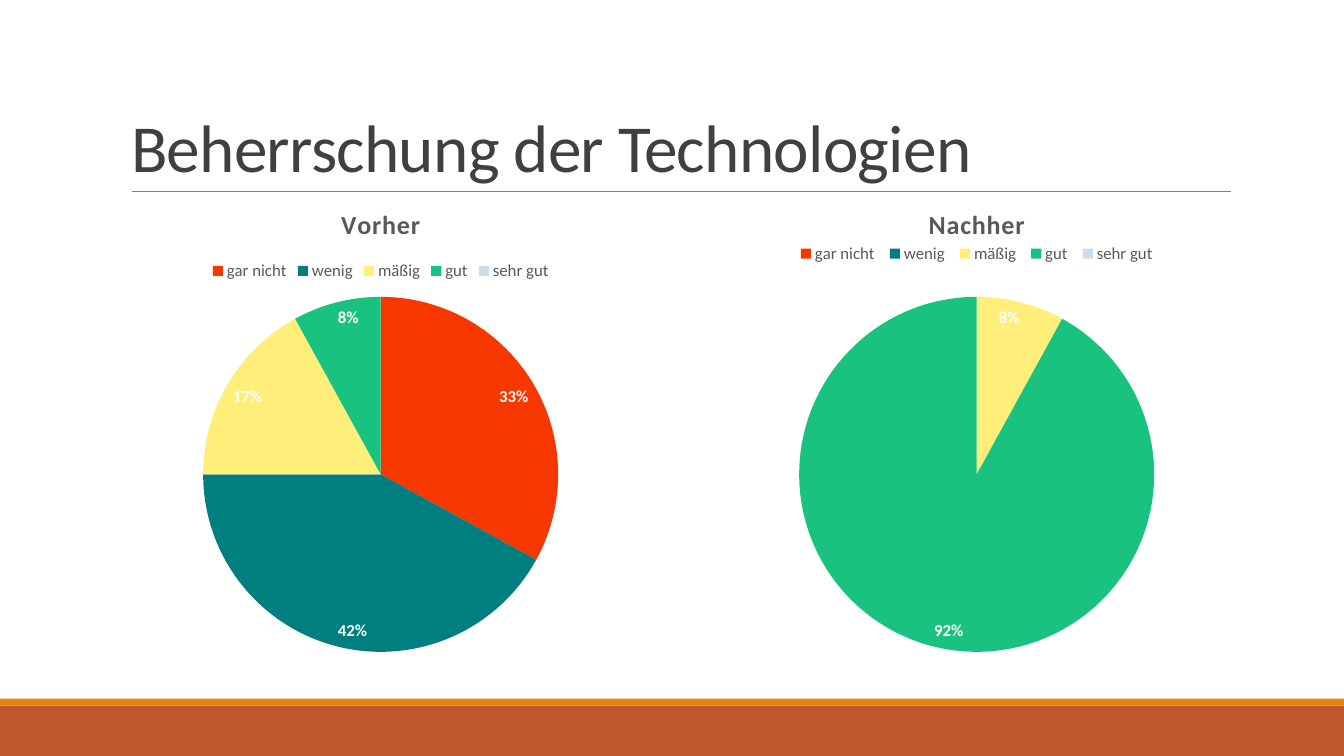
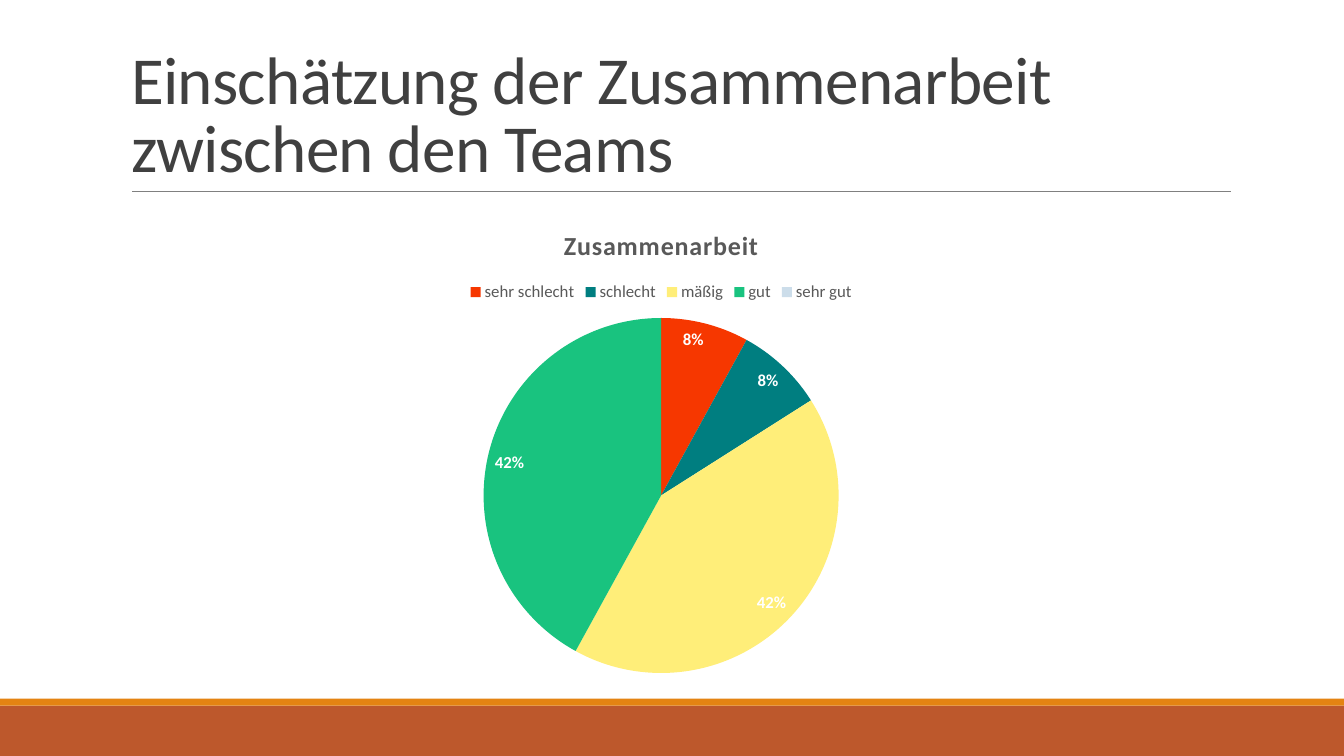
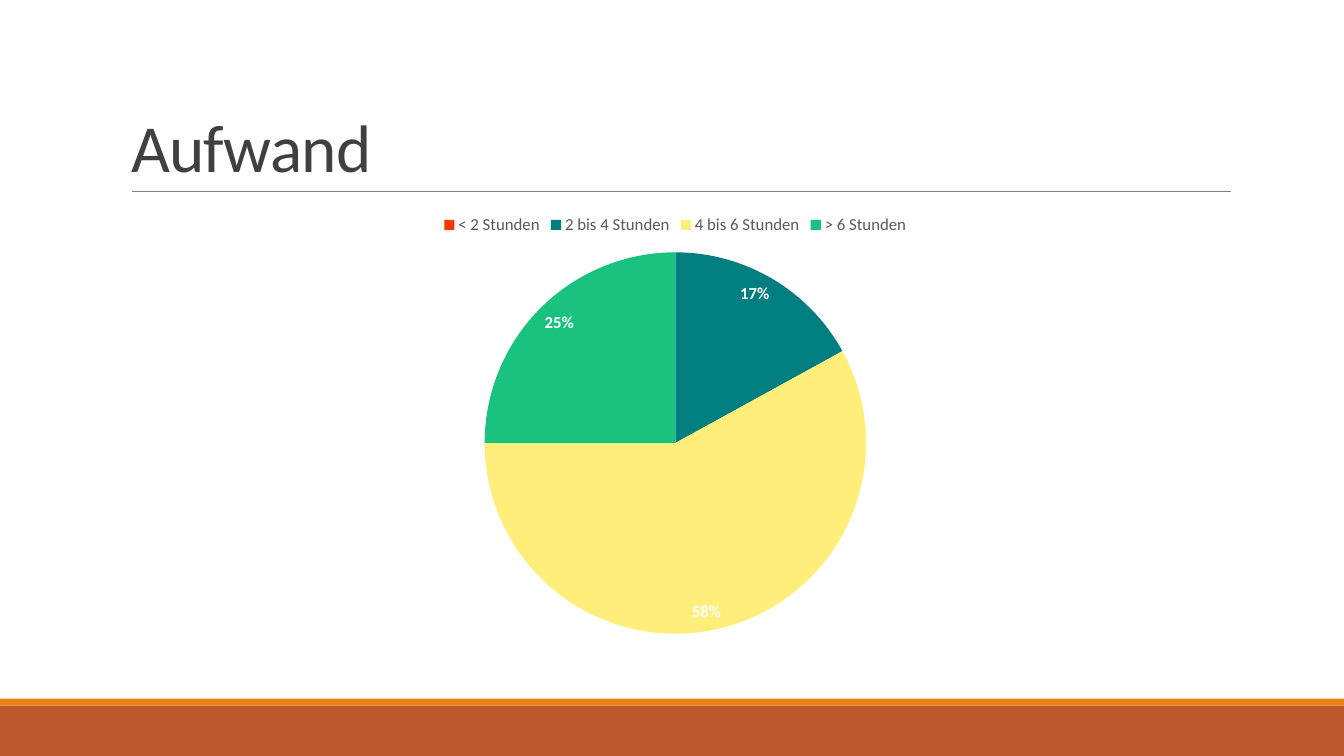
from pptx import Presentation, util as u
from pptx.chart.data import CategoryChartData
from pptx.dml.color import RGBColor
from pptx.enum import chart as ch, shapes, text
from pptx.oxml import parse_xml
from pptx.oxml.ns import nsdecls, qn

WIDTH, HEIGHT = u.Inches(13.333), u.Inches(7.5)
FONT = "Calibri"
WHITE = RGBColor(0xFF, 0xFF, 0xFF)
TITLE_GREY = RGBColor(0x40, 0x40, 0x40)
CHART_GREY = RGBColor(0x59, 0x59, 0x59)
RULE_GREY = RGBColor(0x80, 0x80, 0x80)
RUST = RGBColor(0xBD, 0x58, 0x2C)
ORANGE = RGBColor(0xE4, 0x83, 0x12)
RED = RGBColor(0xF6, 0x37, 0x00)
TEAL = RGBColor(0x00, 0x7E, 0x80)
YELLOW = RGBColor(0xFF, 0xEE, 0x79)
GREEN = RGBColor(0x19, 0xC3, 0x7F)
PALE_BLUE = RGBColor(0xCC, 0xDD, 0xEA)
RATING_COLORS = [RED, TEAL, YELLOW, GREEN, PALE_BLUE]

MASTERY = ["gar nicht", "wenig", "mäßig", "gut", "sehr gut"]
TEAMWORK = ["sehr schlecht", "schlecht", "mäßig", "gut", "sehr gut"]
HOURS = ["< 2 Stunden", "2 bis 4 Stunden", "4 bis 6 Stunden", "> 6 Stunden"]
RATING_SIZE = (86.25, 63.47)
HOURS_SIZE = (82.5, 58.67)


def across(percent):
    return round(WIDTH * percent / 100)


def down(percent):
    return round(HEIGHT * percent / 100)


def area(left, top, width, height):
    return across(left), down(top), across(width), down(height)


def style_font(font, size, color, bold=False):
    font.name = FONT
    font.size = u.Pt(size)
    font.bold = bold
    font.color.rgb = color


def style_title(master):
    title = next(p for p in master.placeholders
                 if p.placeholder_format.type == shapes.PP_PLACEHOLDER.TITLE)
    title.left, title.top, title.width, title.height = area(9, 4.13, 82.5, 21.2)
    title.text_frame.vertical_anchor = text.MSO_ANCHOR.BOTTOM
    title.text_frame.auto_size = text.MSO_AUTO_SIZE.NONE
    style = master.element.find(".//" + qn("p:titleStyle"))
    style.replace(style.find(qn("a:lvl1pPr")), parse_xml(
        f'<a:lvl1pPr {nsdecls("a")} algn="l"><a:lnSpc><a:spcPct val="85000"/></a:lnSpc>'
        f'<a:spcBef><a:spcPct val="0"/></a:spcBef><a:buNone/>'
        f'<a:defRPr sz="4800" spc="-50"><a:solidFill><a:srgbClr val="{TITLE_GREY}"/></a:solidFill>'
        f'<a:latin typeface="{FONT}"/></a:defRPr></a:lvl1pPr>'))


def add_band(slide, top, height, color):
    band = slide.shapes.add_shape(shapes.MSO_SHAPE.RECTANGLE, *area(0, top, 100, height))
    band.shadow.inherit = False
    band.fill.solid()
    band.fill.fore_color.rgb = color
    band.line.fill.background()
    return band


def add_rule(slide, left, right, top):
    rule = slide.shapes.add_connector(shapes.MSO_CONNECTOR.STRAIGHT, across(left), down(top),
                                      across(right), down(top))
    rule.line.color.rgb = RULE_GREY
    rule.line.width = u.Pt(0.5)
    rule.element.spPr.append(parse_xml(f'<a:effectLst {nsdecls("a")}/>'))
    return rule


def decorate_master(master, slide):
    decorations = [add_band(slide, 93.33, 6.67, RUST),
                   add_band(slide, 92.4, 0.93, ORANGE),
                   add_rule(slide, 9.83, 91.58, 25.33)]
    for decoration in decorations:
        master.shapes.element.append(decoration.element)


def add_titled_slide(prs, heading):
    slide = prs.slides.add_slide(prs.slide_layouts[5])
    slide.shapes.title.text_frame.paragraphs[0].add_run().text = heading
    return slide


def place(element, index, x, y, w, h, target=""):
    for automatic in element.findall(qn("c:layout")):
        element.remove(automatic)
    element.insert(index, parse_xml(
        f'<c:layout {nsdecls("c")}><c:manualLayout>{target}'
        f'<c:xMode val="edge"/><c:yMode val="edge"/><c:x val="{x}"/><c:y val="{y}"/>'
        f'<c:w val="{w}"/><c:h val="{h}"/></c:manualLayout></c:layout>'))


def add_caption(chart, caption):
    run = chart.chart_title.text_frame.paragraphs[0].add_run()
    run.text = caption
    style_font(run.font, 18.6, CHART_GREY, bold=True)
    run.font._element.set("spc", "50")
    chart.chart_title.include_in_layout = False


def add_pie(slide, center, top, size, categories, values, pie_top, diameter,
            caption=None, legend_area=None):
    width, height = size
    answers = CategoryChartData()
    answers.categories = categories
    answers.add_series("Series 1", values)
    chart = slide.shapes.add_chart(ch.XL_CHART_TYPE.PIE,
                                   *area(center - width / 2, top, width, height), answers).chart
    style_font(chart.font, 10, RGBColor(0, 0, 0))
    chart.has_title = caption is not None
    if caption:
        add_caption(chart, caption)

    chart.has_legend = True
    chart.legend.position = ch.XL_LEGEND_POSITION.TOP
    chart.legend.include_in_layout = False
    style_font(chart.legend.font, 12, CHART_GREY)
    if legend_area:
        place(chart.legend._element, 1, *legend_area)

    plot = chart.plots[0]
    plot.vary_by_categories = True
    for index, color in enumerate(RATING_COLORS[:len(categories)]):
        fill = plot.series[0].points[index].format.fill
        fill.solid()
        fill.fore_color.rgb = color

    share_labels = plot.series[0].data_labels
    share_labels.show_percentage = True
    share_labels.show_value = False
    share_labels.number_format = "0%"
    share_labels.number_format_is_linked = False
    share_labels.position = ch.XL_LABEL_POSITION.INSIDE_END
    style_font(share_labels.font, 12, WHITE, bold=True)
    hide_empty_labels(share_labels, values)

    pie_width = diameter * down(height) / across(width)
    place(chart._chartSpace.find(".//" + qn("c:plotArea")), 0,
          round((1 - pie_width) / 2, 4), pie_top, round(pie_width, 4), diameter,
          '<c:layoutTarget val="inner"/>')


def hide_empty_labels(share_labels, values):
    empty = [index for index, value in enumerate(values) if value == 0]
    for position, index in enumerate(empty):
        share_labels._element.insert(position, parse_xml(
            f'<c:dLbl {nsdecls("c")}><c:idx val="{index}"/><c:delete val="1"/></c:dLbl>'))


def main():
    prs = Presentation()
    prs.slide_width, prs.slide_height = WIDTH, HEIGHT
    style_title(prs.slide_master)

    mastery = add_titled_slide(prs, "Beherrschung der Technologien")
    decorate_master(prs.slide_master, mastery)
    add_pie(mastery, 28.33, 24.67, RATING_SIZE, MASTERY, [33, 42, 17, 8, 0],
            0.23, 0.74, "Vorher")
    add_pie(mastery, 72.68, 24.67, RATING_SIZE, MASTERY, [0, 0, 8, 92, 0],
            0.23, 0.74, "Nachher", (0.34, 0.11, 0.32, 0.06))

    teamwork = add_titled_slide(prs, "Einschätzung der Zusammenarbeit zwischen den Teams")
    add_pie(teamwork, 49.2, 27.47, RATING_SIZE, TEAMWORK, [8, 8, 42, 42, 0],
            0.23, 0.74, "Zusammenarbeit")

    effort = add_titled_slide(prs, "Aufwand")
    add_pie(effort, 50.25, 26.93, HOURS_SIZE, HOURS, [0, 17, 58, 25], 0.11, 0.86)

    prs.save("out.pptx")


if __name__ == "__main__":
    main()
